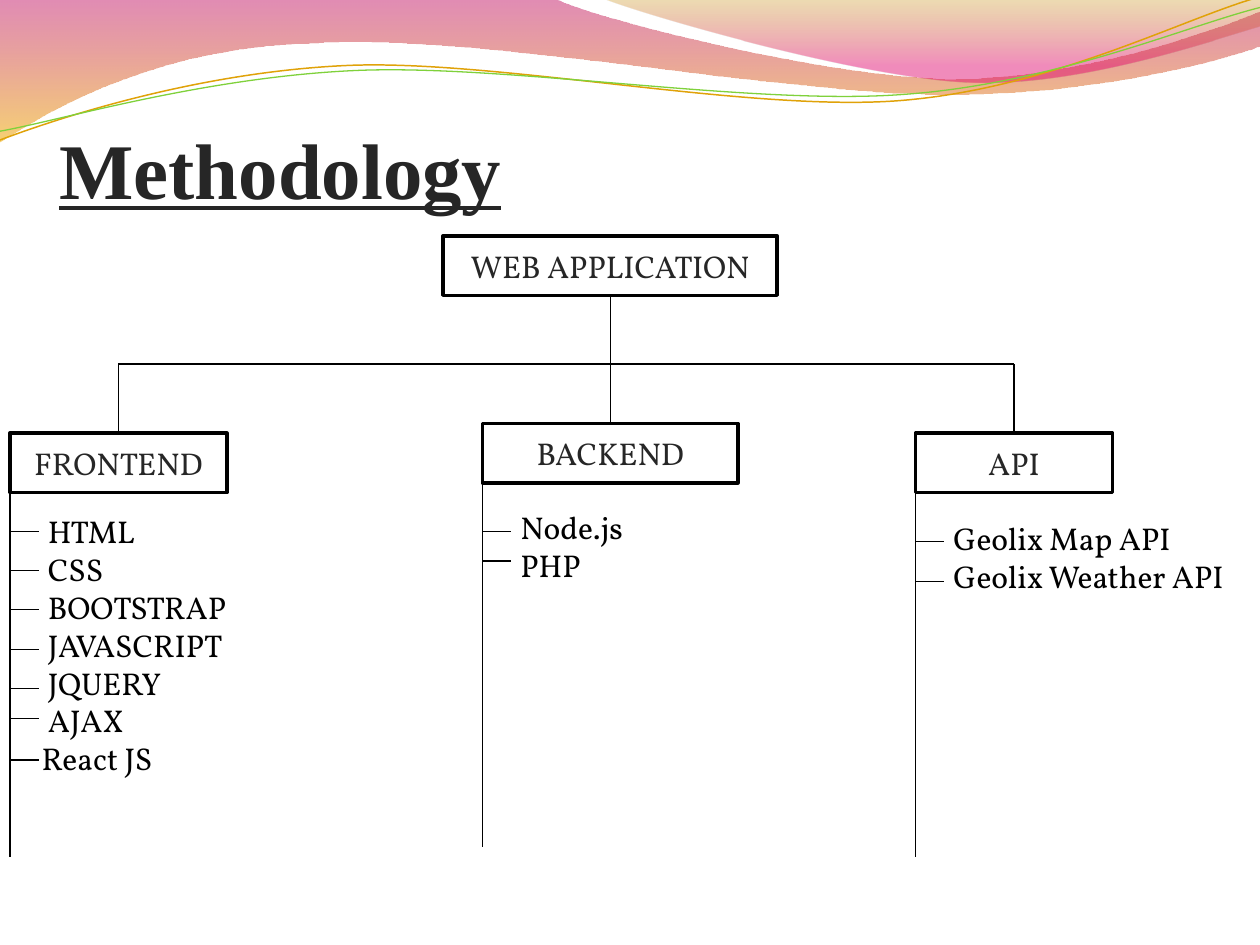
from lxml import etree
from pptx import Presentation
from pptx.dml.color import RGBColor
from pptx.enum.shapes import MSO_CONNECTOR, MSO_SHAPE
from pptx.enum.text import MSO_ANCHOR, PP_ALIGN
from pptx.oxml.ns import qn
from pptx.util import Pt

STRAIGHT = MSO_CONNECTOR.STRAIGHT
RECT = MSO_SHAPE.RECTANGLE
MIDDLE, BOTTOM = MSO_ANCHOR.MIDDLE, MSO_ANCHOR.BOTTOM
CENTER = PP_ALIGN.CENTER

COLORS = {
    "white": "FFFFFF", "black": "000000", "text": "262626",
    "rose": "BD0059", "amber": "F0AB00", "ochre": "C38B00",
    "magenta": "E1006B", "gold": "E0A209", "green": "7FD13B",
}

BUS_Y = 208
BOX_H = 34
RAIL_H = 208
TICK_W = 16.5
INDENT = 3.6

WAVES = [
    ([(0, 0), (317, -0.7),
      (343, 12, 478, 45, 546, 45), (614, 45, 690, 19, 720, 6.5), (720.7, 26),
      (708, 32, 626, 55, 537, 54), (448, 54, 275, 20, 185, 24.5),
      (93, 26, 33, 60, -0.7, 81.4)],
     [(0, "rose", 45), (1, "amber", 55)]),
    ([(345, -0.7), (366, 8, 491, 44.6, 554, 47), (616, 49.7, 692, 23, 720, 15),
      (720, 0)],
     [(0, "ochre", 30), (0.8, "magenta", 45)]),
]
STRANDS = [
    ([(0, 80), (34.5, 67, 114, 41, 199.5, 37.4), (284, 34, 427, 64, 513, 57.6),
      (600, 51, 675, 11, 718.5, -1.4)], "gold", 0.85),
    ([(0, 75), (34, 69, 117, 44, 204, 40.3), (290, 36.7, 430, 60.5, 516, 54),
      (602, 48, 677.5, 15, 720, 4.3)], "green", 0.75),
]
BRANCHES = [
    ("FRONTEND", 5.7, 247.5, 124, 289.3, 160,
     ["HTML", "CSS", "BOOTSTRAP", "JAVASCRIPT", "JQUERY", "AJAX", "React JS"],
     [303.8, 326.2, 348.4, 371, 393.6, 410.5, 434.3]),
    ("BACKEND", 275.7, 242, 146, 286.7, 72.5, ["Node.js", "PHP"], [303.8, 320.6]),
    ("API", 523.2, 247.5, 112.5, 293, 72.5,
     ["Geolix Map API", "Geolix Weather API"], [309.5, 332.5]),
]


def rgb(name):
    return RGBColor.from_string(COLORS[name])


def add_outline(s, segments, close):
    points = [(Pt(seg[-2]), Pt(seg[-1])) for seg in segments]
    builder = s.shapes.build_freeform(*points[0])
    builder.add_line_segments(points[1:], close=close)
    sp = builder.convert_to_shape()
    sp.shadow.inherit = False
    sides = list(sp._element.spPr.iter(qn("a:lnTo")))
    for side, seg in zip(sides, segments[1:]):
        if len(seg) == 6:
            side.tag = qn("a:cubicBezTo")
            for i in (0, 1):
                x, y = Pt(seg[2 * i]) - sp.left, Pt(seg[2 * i + 1]) - sp.top
                side.insert(i, etree.Element(qn("a:pt"), x=str(x), y=str(y)))
    return sp


def add_wave(s, segments, stops):
    sp = add_outline(s, segments, True)
    sp.line.fill.background()
    sp.fill.gradient()
    sp.fill.gradient_angle = 270
    for stop, (position, color, _) in zip(sp.fill.gradient_stops, stops):
        stop.position = position
        stop.color.rgb = rgb(color)
    for clr, (_, _, opacity) in zip(sp._element.spPr.iter(qn("a:srgbClr")), stops):
        etree.SubElement(clr, qn("a:alpha"), val=str(opacity * 1000))


def add_strand(s, segments, color, width):
    sp = add_outline(s, segments, False)
    sp.fill.background()
    sp.line.color.rgb = rgb(color)
    sp.line.width = Pt(width)


def style(p, size, font, color):
    for r in p.runs:
        r.font.size = Pt(size)
        r.font.name = font
        r.font.color.rgb = rgb(color)


def add_title(s, text):
    tf = s.shapes.add_textbox(Pt(34), Pt(62), Pt(397.5), Pt(61)).text_frame
    tf.word_wrap = True
    tf.vertical_anchor = BOTTOM
    tf.margin_left = tf.margin_right = tf.margin_bottom = 0
    tf.text = text
    p = tf.paragraphs[0]
    style(p, 45, "Times New Roman", "text")
    p.runs[0].font.bold = True
    p.runs[0].font.underline = True


def add_box(s, text, x, y, w):
    sp = s.shapes.add_shape(RECT, Pt(x), Pt(y), Pt(w), Pt(BOX_H))
    sp.shadow.inherit = False
    sp.fill.solid()
    sp.fill.fore_color.rgb = rgb("white")
    sp.line.color.rgb = rgb("black")
    sp.line.width = Pt(2)
    tf = sp.text_frame
    tf.vertical_anchor = MIDDLE
    tf.text = text
    p = tf.paragraphs[0]
    p.alignment = CENTER
    style(p, 18, "Vollkorn", "text")
    return sp


def add_line(s, x1, y1, x2, y2):
    line = s.shapes.add_connector(STRAIGHT, Pt(x1), Pt(y1), Pt(x2), Pt(y2))
    line.line.color.rgb = rgb("black")
    line.line.width = Pt(0.75)
    etree.SubElement(line._element.spPr, qn("a:effectLst"))
    return line


def add_list(s, items, x, y, h):
    tf = s.shapes.add_textbox(Pt(x), Pt(y), Pt(186), Pt(h)).text_frame
    tf.word_wrap = True
    tf.text = "\n".join(items)
    for p in tf.paragraphs:
        if p.text != "React JS":
            p._p.get_or_add_pPr().set("marL", str(Pt(INDENT)))
        style(p, 18, "Vollkorn", "black")


def add_branch(s, name, x, y, w, list_y, list_h, items, ticks):
    center = x + w / 2
    box = add_box(s, name, x, y, w)
    add_line(s, center, BUS_Y, center, y).end_connect(box, 0)
    add_line(s, x, y + BOX_H, x, y + BOX_H + RAIL_H)
    add_list(s, items, x + 11, list_y, list_h)
    for tick_y in ticks:
        add_line(s, x, tick_y, x + TICK_W, tick_y)
    return center


def main():
    prs = Presentation()
    prs.slide_width, prs.slide_height = Pt(720), Pt(540)
    s = prs.slides.add_slide(prs.slide_layouts[6])
    for wave in WAVES:
        add_wave(s, *wave)
    for strand in STRANDS:
        add_strand(s, *strand)
    add_title(s, "Methodology")
    root = add_box(s, "WEB APPLICATION", 253.2, 134.8, 191)
    add_line(s, 348.7, 168.8, 348.7, BUS_Y).begin_connect(root, 2)
    centers = [add_branch(s, *branch) for branch in BRANCHES]
    add_line(s, centers[0], BUS_Y, centers[-1], BUS_Y)
    prs.save("out.pptx")


if __name__ == "__main__":
    main()
